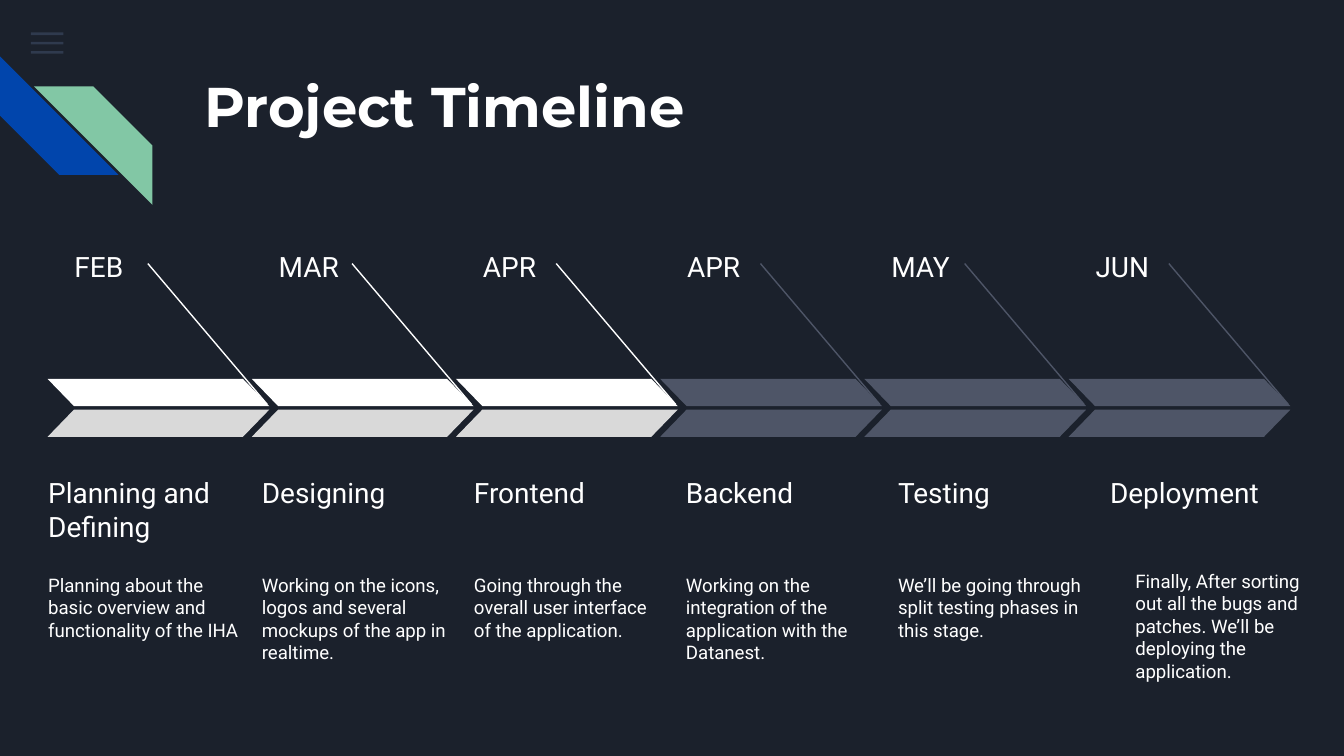
from lxml import etree
from pptx import Presentation
from pptx.dml.color import RGBColor
from pptx.enum import shapes, text
from pptx.oxml import ns
from pptx.util import Pt

NAVY = RGBColor(0x1B, 0x21, 0x2C)
WHITE = RGBColor(0xFF, 0xFF, 0xFF)
LIGHT = RGBColor(0xD9, 0xD9, 0xD9)
SLATE = RGBColor(0x4E, 0x55, 0x67)
MENU = RGBColor(0x55, 0x68, 0x8B)
BLUE = RGBColor(0x01, 0x45, 0xAC)
GREEN = RGBColor(0x82, 0xC7, 0xA5)

PHASES = [
    ("FEB", "Planning and Defining",
     "Planning about the basic overview and functionality of the IHA"),
    ("MAR", "Designing",
     "Working on the icons, logos and several mockups of the app in realtime."),
    ("APR", "Frontend",
     "Going through the overall user interface of the application."),
    ("APR", "Backend",
     "Working on the integration of the application with the Datanest."),
    ("MAY", "Testing",
     "We’ll be going through split testing phases in this stage."),
    ("JUN", "Deployment",
     "Finally, After sorting out all the bugs and patches. We’ll be deploying the application."),
]
DONE = 3
STEP = 109.4
TEXT_STEP = 113.6

prs = Presentation()
prs.slide_width, prs.slide_height = Pt(720), Pt(405)
slide = prs.slides.add_slide(prs.slide_layouts[5])
slide.background.fill.solid()
slide.background.fill.fore_color.rgb = NAVY


def add_block(kind, left, top, width, height, color, flip=False):
    block = slide.shapes.add_shape(kind, Pt(left), Pt(top), Pt(width), Pt(height))
    block.shadow.inherit = False
    block.fill.solid()
    block.fill.fore_color.rgb = color
    block.line.fill.background()
    if flip:
        block._element.spPr.get_or_add_xfrm().set("flipH", "1")
    return block


def write(box, words, size, font="Roboto", anchor=text.MSO_ANCHOR.TOP):
    frame = box.text_frame
    frame.word_wrap = True
    frame.auto_size = text.MSO_AUTO_SIZE.NONE
    frame.vertical_anchor = anchor
    frame.margin_left = frame.margin_right = Pt(7.2)
    frame.margin_top = frame.margin_bottom = Pt(7.2)
    frame.text = words
    paragraph = frame.paragraphs[0]
    paragraph.alignment = text.PP_ALIGN.LEFT
    paragraph.font.name = font
    paragraph.font.size = Pt(size)
    paragraph.font.color.rgb = WHITE
    return paragraph


for i in range(3):
    menu_bar = add_block(shapes.MSO_SHAPE.RECTANGLE, 16.6, 17.4 + 5 * i, 17.4, 1.4, MENU)
    tint = menu_bar._element.spPr.find(".//" + ns.qn("a:srgbClr"))
    etree.SubElement(tint, ns.qn("a:alpha")).set("val", "36000")

blue_stripe = add_block(shapes.MSO_SHAPE.DIAGONAL_STRIPE, 0, 30.2, 63.5, 63.5, BLUE)
blue_stripe.rotation = 270
add_block(shapes.MSO_SHAPE.DIAGONAL_STRIPE, 18.2, 46.3, 63.5, 63.5, GREEN, flip=True)

title = slide.shapes.title
title.left, title.top, title.width, title.height = Pt(102.2), Pt(31), Pt(554.4), Pt(51)
write(title, "Project Timeline", 30, "Montserrat").font.bold = True

for i, (month, phase, detail) in enumerate(PHASES):
    first, last = i == 0, i == len(PHASES) - 1
    text_left = 18.7 if first else 19.6 + TEXT_STEP * i
    text_width = 116.6 if first else 113.8
    detail_left, detail_top = (601.2, 298.1) if last else (text_left, 300.2)

    month_box = slide.shapes.add_textbox(
        Pt(32.8 + STEP * i), Pt(126.7), Pt(54), Pt(49))
    write(month_box, month, 15)

    phase_box = slide.shapes.add_textbox(
        Pt(text_left), Pt(247.4), Pt(text_width), Pt(50.6 if first else 32.6))
    write(phase_box, phase, 15, anchor=text.MSO_ANCHOR.BOTTOM)

    detail_box = slide.shapes.add_textbox(
        Pt(detail_left), Pt(detail_top), Pt(text_width), Pt(75))
    write(detail_box, detail, 10)

for i in range(len(PHASES)):
    upper, lower = (WHITE, LIGHT) if i < DONE else (SLATE, SLATE)
    pointer_left = 79.2 + STEP * i
    pointer = slide.shapes.add_connector(
        shapes.MSO_CONNECTOR.STRAIGHT,
        Pt(pointer_left), Pt(141.2), Pt(pointer_left + 64), Pt(216.7))
    pointer.line.color.rgb = upper
    pointer.line.width = Pt(0.75)
    etree.SubElement(pointer._element.spPr, ns.qn("a:effectLst"))

    for top, color, flip in ((203, upper, True), (219.4, lower, False)):
        half = add_block(shapes.MSO_SHAPE.PARALLELOGRAM, 25.5 + STEP * i, top,
                         118.8, 14.6, color, flip)
        half.adjustments[0] = 0.97

prs.save("out.pptx")
